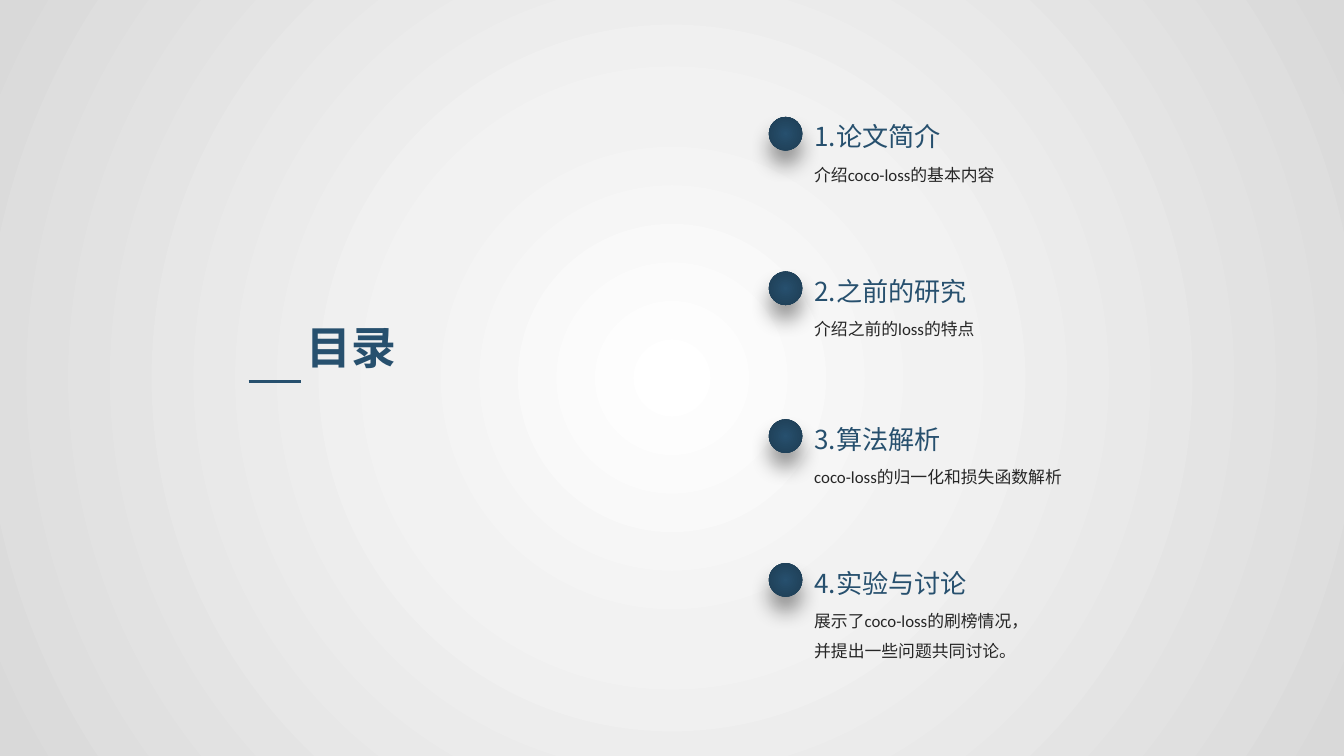
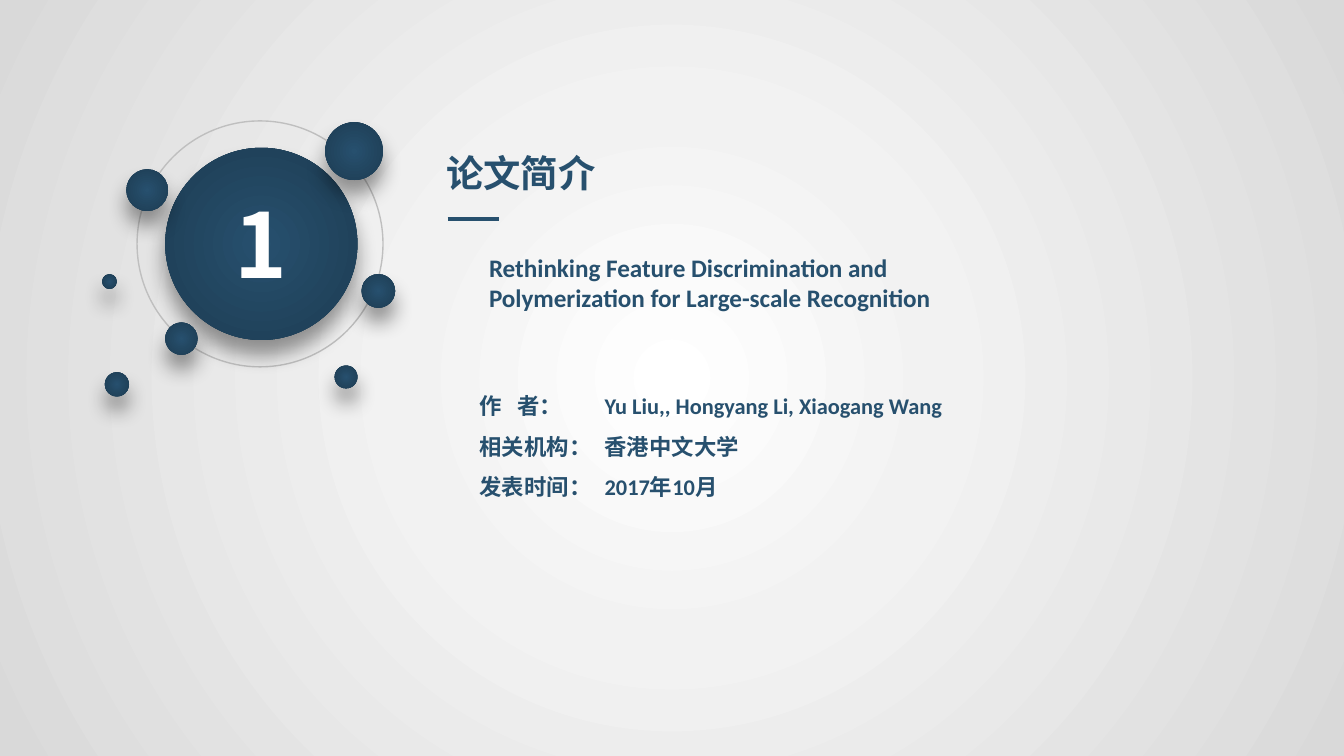
from dataclasses import dataclass

from pptx import Presentation
from pptx.dml.color import RGBColor
from pptx.enum import shapes as shp, text as txt
from pptx.oxml import parse_xml
from pptx.oxml.ns import nsdecls, qn
from pptx.util import Inches, Pt


@dataclass(frozen=True)
class Theme:
    navy: str = "27506E"
    navy_dark: str = "1D3C52"
    ink: str = "262626"
    ring: str = "BFBFBF"
    white: str = "FFFFFF"
    shadow: str = "000000"
    backdrop: tuple = ((0, "FFFFFF"), (35, "F2F2F2"), (100, "D9D9D9"))
    heading_font: str = "Noto Sans CJK SC"
    body_font: str = "Calibri"
    contents_title: float = 24
    section_title: float = 20
    number: float = 48
    heading: float = 14
    paper: float = 13.5
    facts: float = 12
    detail: float = 9


THEME = Theme()
SLIDE_WIDTH = 10
SLIDE_HEIGHT = SLIDE_WIDTH * 9 / 16

CONTENTS_TITLE = "目录"
# top, heading, detail lines, detail height
CONTENTS = [
    (0.85, "1.论文简介", ["介绍coco-loss的基本内容"], 0.33),
    (2.00, "2.之前的研究", ["介绍之前的loss的特点"], 0.33),
    (3.10, "3.算法解析", ["coco-loss的归一化和损失函数解析"], 0.33),
    (4.17, "4.实验与讨论", ["展示了coco-loss的刷榜情况，", "并提出一些问题共同讨论。"], 0.55),
]

SECTION_NUMBER = "1"
SECTION_TITLE = "论文简介"
PAPER = ["Rethinking Feature Discrimination and", "Polymerization for Large-scale Recognition"]
# A line is a string, or a list of (text, letter spacing in points)
FACTS = [
    ([("作", 0), (" ", 5.4), ("者：", 0)], "Yu Liu,, Hongyang Li, Xiaogang Wang"),
    ("相关机构：", "香港中文大学"),
    ("发表时间：", "2017年10月"),
]
# left, top, diameter
SATELLITES = [
    (2.42, 0.91, 0.43), (0.94, 1.26, 0.31), (0.78, 2.77, 0.18), (1.23, 2.40, 0.24),
    (2.69, 2.04, 0.25), (2.49, 2.72, 0.17), (0.76, 2.04, 0.11),
]


def rgb(color):
    return RGBColor.from_string(color)


def make_radial(properties, stops):
    """Turn the solid fill in a properties element into a gradient from its centre."""
    marks = "".join(f'<a:gs pos="{pos * 1000}"><a:srgbClr val="{color}"/></a:gs>' for pos, color in stops)
    gradient = parse_xml(
        f'<a:gradFill {nsdecls("a")} rotWithShape="1"><a:gsLst>{marks}</a:gsLst><a:path path="circle">'
        '<a:fillToRect l="50000" t="50000" r="50000" b="50000"/></a:path></a:gradFill>')
    properties.replace(properties.find(qn("a:solidFill")), gradient)


def write(frame, lines, size, color=THEME.navy, font=THEME.body_font, bold=False,
          spacing=None, align=txt.PP_ALIGN.LEFT, wrap=True):
    frame.word_wrap = wrap
    frame.auto_size = txt.MSO_AUTO_SIZE.SHAPE_TO_FIT_TEXT
    frame.vertical_anchor = txt.MSO_ANCHOR.TOP
    for i, line in enumerate(lines):
        paragraph = frame.add_paragraph() if i else frame.paragraphs[0]
        paragraph.alignment = align
        if spacing:
            paragraph.line_spacing = spacing
        for words, gap in [(line, 0)] if isinstance(line, str) else line:
            run = paragraph.add_run()
            run.text = words
            run.font.name, run.font.size, run.font.bold = font, Pt(size), bold
            run.font.color.rgb = rgb(color)
            properties = run.font._element
            properties.find(qn("a:latin")).addnext(
                parse_xml(f'<a:ea {nsdecls("a")} typeface="{THEME.heading_font}"/>'))
            if gap:
                properties.set("spc", str(round(gap * 100)))


def add_text(shapes, box, lines, size, **style):
    write(shapes.add_textbox(*map(Inches, box)).text_frame, lines, size, **style)


def place_title(slide, box, words, size, **style):
    title = slide.shapes.title
    title.left, title.top, title.width, title.height = map(Inches, box)
    write(title.text_frame, [words], size, font=THEME.heading_font, bold=True, wrap=False, **style)


def add_circle(slide, left, top, diameter):
    circle = slide.shapes.add_shape(
        shp.MSO_SHAPE.OVAL, *map(Inches, (left, top, diameter, diameter)))
    circle.shadow.inherit = False
    return circle


def add_ball(slide, left, top, diameter):
    ball = add_circle(slide, left, top, diameter)
    ball.line.fill.background()
    ball.fill.solid()
    properties = ball._element.spPr
    make_radial(properties, [(0, THEME.navy), (100, THEME.navy_dark)])
    properties.find(qn("a:effectLst")).append(parse_xml(
        f'<a:outerShdw {nsdecls("a")} blurRad="{Pt(11)}" dist="{Pt(8)}" dir="5400000" algn="t" '
        f'rotWithShape="0"><a:srgbClr val="{THEME.shadow}"><a:alpha val="40000"/></a:srgbClr></a:outerShdw>'))


def add_rule(slide, left, right, y, weight):
    rule = slide.shapes.add_connector(
        shp.MSO_CONNECTOR.STRAIGHT, *map(Inches, (left, y, right, y)))
    rule.line.color.rgb = rgb(THEME.navy)
    rule.line.width = Pt(weight)
    rule._element.spPr.append(parse_xml(f'<a:effectLst {nsdecls("a")}/>'))


def build_contents(slide):
    place_title(slide, (2.18, 2.33, 0.87, 0.5), CONTENTS_TITLE, THEME.contents_title,
                align=txt.PP_ALIGN.CENTER)
    add_rule(slide, 1.85, 2.24, 2.84, 1.5)
    for top, heading, detail, height in CONTENTS:
        add_ball(slide, 5.72, top + 0.02, 0.25)
        width = 0.2 * len(heading) + 0.01
        add_text(slide.shapes, (5.96, top, width, 0.34), [heading], THEME.heading,
                 font=THEME.heading_font, wrap=False)
        add_text(slide.shapes, (5.96, top + 0.25, 2.73, height), detail, THEME.detail,
                 color=THEME.ink, spacing=1.5)


def build_section(slide):
    ring = add_circle(slide, 1.02, 0.9, 1.83)
    ring.fill.background()
    ring.line.color.rgb = rgb(THEME.ring)
    ring.line.width = Pt(0.75)
    add_ball(slide, 1.23, 1.1, 1.43)
    add_text(slide.shapes, (1.65, 1.36, 0.56, 0.91), [SECTION_NUMBER], THEME.number, color=THEME.white,
             font=THEME.heading_font, bold=True, align=txt.PP_ALIGN.CENTER, wrap=False)
    place_title(slide, (3.22, 1.07, 1.33, 0.44), SECTION_TITLE, THEME.section_title)
    add_rule(slide, 3.33, 3.71, 1.63, 2.25)
    for satellite in SATELLITES:
        add_ball(slide, *satellite)
    facts = slide.shapes.add_group_shape()
    labels, values = zip(*FACTS)
    for left, width, column in ((4.4, 4.52, values), (3.47, 0.89, labels)):
        add_text(facts.shapes, (left, 2.77, width, 1.01), column, THEME.facts, bold=True, spacing=1.5)
    add_text(slide.shapes, (3.54, 1.83, 4.88, 0.55), PAPER, THEME.paper, bold=True)


def main():
    deck = Presentation()
    deck.slide_width, deck.slide_height = Inches(SLIDE_WIDTH), Inches(SLIDE_HEIGHT)
    master = deck.slide_master
    master.background.fill.solid()
    make_radial(master.element.xpath("p:cSld/p:bg/p:bgPr")[0], THEME.backdrop)
    title_only = deck.slide_layouts[5]
    for build in (build_contents, build_section):
        build(deck.slides.add_slide(title_only))
    deck.save("out.pptx")


if __name__ == "__main__":
    main()
